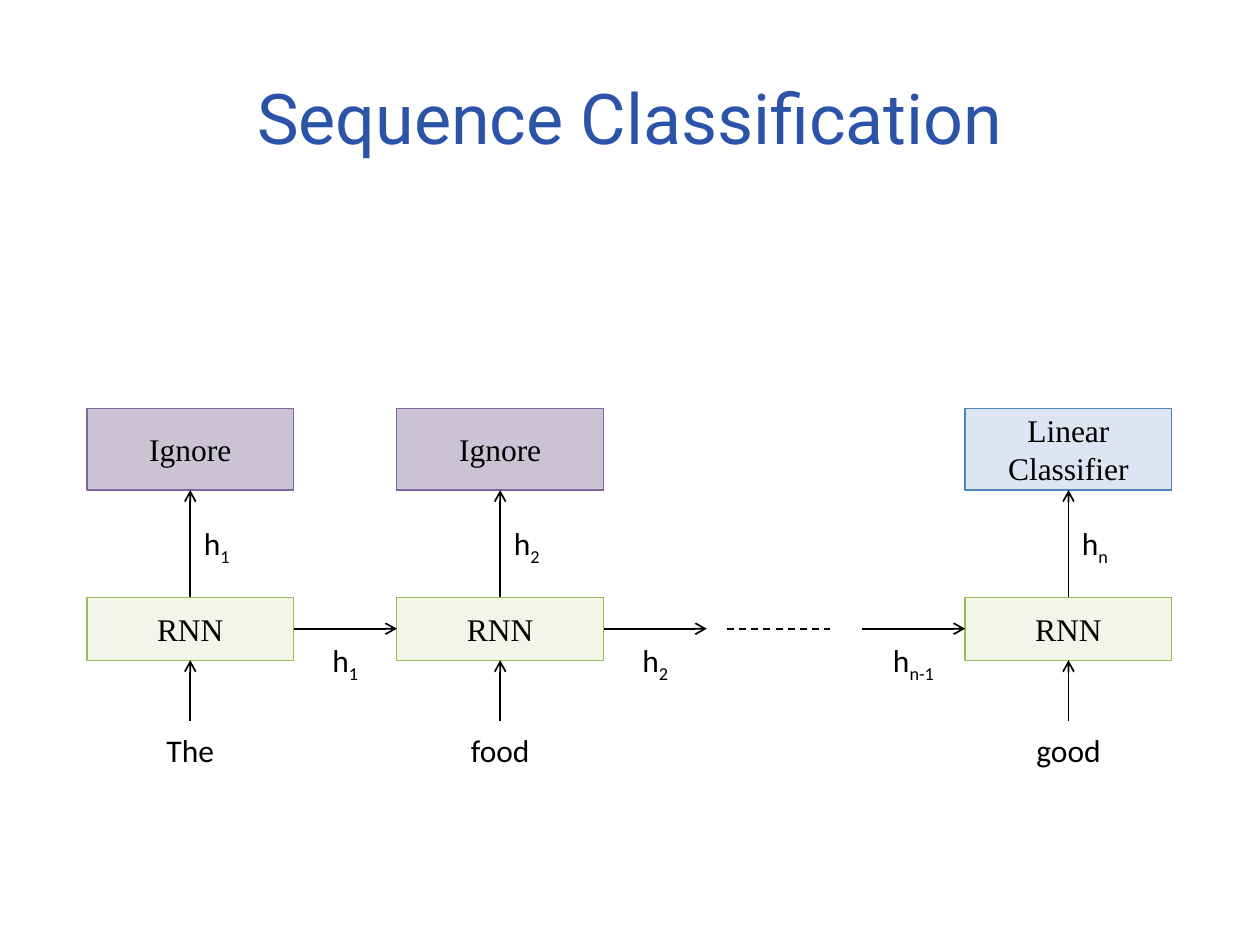
from lxml import etree
from pptx import Presentation
from pptx.dml.color import RGBColor
from pptx.enum.dml import MSO_LINE
from pptx.enum.shapes import MSO_CONNECTOR, MSO_SHAPE
from pptx.enum.text import MSO_ANCHOR, MSO_AUTO_SIZE, PP_ALIGN
from pptx.oxml.ns import qn
from pptx.util import Inches, Pt

RECTANGLE = MSO_SHAPE.RECTANGLE
STRAIGHT = MSO_CONNECTOR.STRAIGHT
CENTER = PP_ALIGN.CENTER
MIDDLE = MSO_ANCHOR.MIDDLE
TOP, LEFT, BOTTOM, RIGHT = range(4)

COLORS = {
    "title": "2B53A8",
    "ink": "000000",
    "rnn": ("D7E4BD", "9BBB59"),
    "ignore": ("604A7B", "8064A2"),
    "classifier": ("95B3D7", "4F81BD"),
}
TITLE = "Sequence Classification"
STEPS = [
    {"left": 0.69, "word": "The", "state": "1", "output": "Ignore", "style": "ignore"},
    {"left": 3.15, "word": "food", "state": "2", "output": "Ignore", "style": "ignore"},
    {"left": 7.66, "word": "good", "state": "n", "output": "Linear Classifier", "style": "classifier"},
]
BOX_WIDTH = 1.64
RNN_TOP, RNN_HEIGHT = 4.74, 0.5
OUTPUT_TOP, OUTPUT_HEIGHT = 3.24, 0.65
WORD_TOP, WORD_ARROW_START = 5.75, 5.72
STATE_TOP, PASSED_STATE_TOP = 4.11, 5.04
STATE_OFFSET = 0.24
LABEL_HEIGHT = 0.4
GAP = 0.82
FILL_ALPHA = 33000


def color(name):
    return RGBColor.from_string(name)


def style_paragraph(paragraph, font_name, size, hex_color):
    paragraph.alignment = CENTER
    paragraph.font.name = font_name
    paragraph.font.size = Pt(size)
    paragraph.font.color.rgb = color(hex_color)


def add_box(slide, left, top, height, text, style):
    fill_color, line_color = COLORS[style]
    box = slide.shapes.add_shape(
        RECTANGLE, Inches(left), Inches(top), Inches(BOX_WIDTH), Inches(height))
    box.shadow.inherit = False
    box.fill.solid()
    box.fill.fore_color.rgb = color(fill_color)
    fill_element = box.fill._xPr.find(qn("a:solidFill"))[0]
    etree.SubElement(fill_element, qn("a:alpha")).set("val", str(FILL_ALPHA))
    box.line.color.rgb = color(line_color)
    box.line.width = Pt(0.75)
    frame = box.text_frame
    frame.word_wrap = True
    frame.vertical_anchor = MIDDLE
    frame.text = text
    style_paragraph(frame.paragraphs[0], "Times New Roman", 18, COLORS["ink"])
    return box


def add_label(slide, center, top, text, subscript=""):
    width = 0.75 if not subscript else 0.48 if len(subscript) == 1 else 0.63
    label = slide.shapes.add_textbox(
        Inches(center - width / 2), Inches(top), Inches(width), Inches(LABEL_HEIGHT))
    frame = label.text_frame
    frame.word_wrap = False
    frame.auto_size = MSO_AUTO_SIZE.SHAPE_TO_FIT_TEXT
    paragraph = frame.paragraphs[0]
    paragraph.add_run().text = text
    if subscript:
        run = paragraph.add_run()
        run.text = subscript
        run.font._element.set("baseline", "-25000")
    style_paragraph(paragraph, "Calibri", 18, COLORS["ink"])


def add_line(slide, start, end, source=None, target=None, dashed=False):
    line = slide.shapes.add_connector(STRAIGHT, *(Inches(v) for v in (*start, *end)))
    if source:
        line.begin_connect(*source)
    if target:
        line.end_connect(*target)
    line.line.color.rgb = color(COLORS["ink"])
    line.line.width = Pt(1)
    if dashed:
        line.line.dash_style = MSO_LINE.DASH
    else:
        tail = etree.SubElement(line.line._get_or_add_ln(), qn("a:tailEnd"))
        tail.set("type", "arrow")
    etree.SubElement(line._element.spPr, qn("a:effectLst"))


def add_title(slide):
    title = slide.shapes.title
    title.left, title.top = Inches(0.5), Inches(0.3)
    title.width, title.height = Inches(9), Inches(1.25)
    frame = title.text_frame
    frame.margin_left = frame.margin_right = Inches(0.05)
    frame.margin_top = frame.margin_bottom = Inches(0.05)
    frame.vertical_anchor = MIDDLE
    frame.text = TITLE
    style_paragraph(frame.paragraphs[0], "Roboto", 40, COLORS["title"])


def add_step(slide, step):
    left = step["left"]
    center = left + BOX_WIDTH / 2
    rnn = add_box(slide, left, RNN_TOP, RNN_HEIGHT, "RNN", "rnn")
    output = add_box(slide, left, OUTPUT_TOP, OUTPUT_HEIGHT, step["output"], step["style"])
    add_line(slide, (center, WORD_ARROW_START), (center, RNN_TOP + RNN_HEIGHT),
             target=(rnn, BOTTOM))
    add_line(slide, (center, RNN_TOP), (center, OUTPUT_TOP + OUTPUT_HEIGHT),
             source=(rnn, TOP), target=(output, BOTTOM))
    add_label(slide, center, WORD_TOP, step["word"])
    add_label(slide, center + STATE_OFFSET - 0.03, STATE_TOP, "h", step["state"])
    return rnn


def main():
    presentation = Presentation()
    presentation.slide_width, presentation.slide_height = Inches(10), Inches(7.5)
    slide = presentation.slides.add_slide(presentation.slide_layouts[5])
    add_title(slide)
    first, second, last = [add_step(slide, step) for step in STEPS]

    middle = RNN_TOP + RNN_HEIGHT / 2
    first_end, second_end = (step["left"] + BOX_WIDTH for step in STEPS[:2])
    last_start = STEPS[-1]["left"]
    passed_states = [
        (first_end, "1", (first, RIGHT), (second, LEFT)),
        (second_end, "2", (second, RIGHT), None),
        (last_start - GAP, "n-1", None, (last, LEFT)),
    ]
    for start, state, source, target in passed_states:
        add_line(slide, (start, middle), (start + GAP, middle), source, target)
        add_label(slide, start + GAP / 2, PASSED_STATE_TOP, "h", state)
    add_line(slide, (5.77, middle), (5.77 + GAP, middle), dashed=True)

    presentation.save("out.pptx")


if __name__ == "__main__":
    main()
